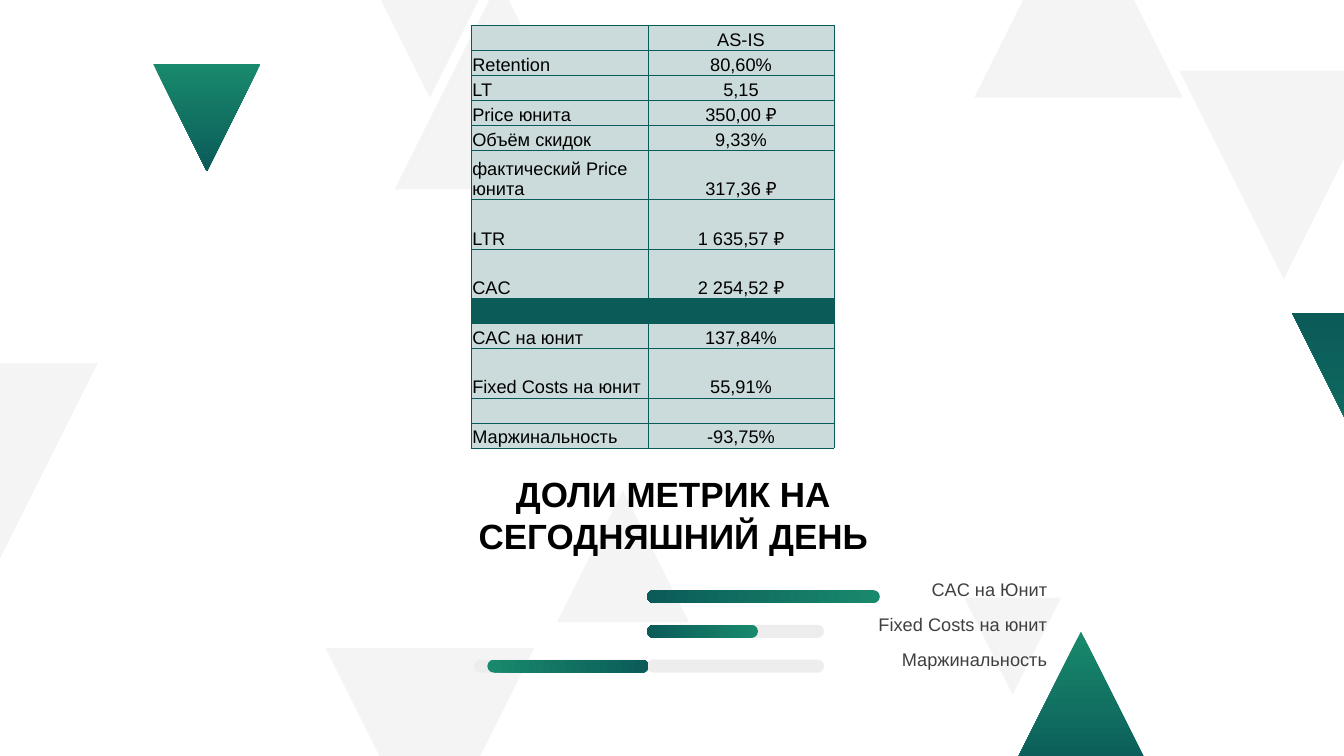
from pptx import Presentation
from pptx.dml.color import RGBColor
from pptx.enum.shapes import MSO_SHAPE
from pptx.enum.text import MSO_ANCHOR, MSO_AUTO_SIZE, PP_ALIGN
from pptx.oxml import parse_xml
from pptx.oxml.ns import nsdecls
from pptx.util import Cm, Pt

COLORS = {
    "backdrop": "F4F4F4",
    "light green": "19896C",
    "dark green": "0B5B59",
    "track": "EDEDED",
    "cell": "CBDADA",
    "border": "095B59",
    "title": "000000",
    "label": "3F3F3F",
}

# Gradient angles: the direction in which light green turns dark
DOWNWARD, UPWARD, LEFTWARD, RIGHTWARD = 270, 90, 180, 0

TITLE_FONT = {"name": "Arial", "size": Pt(50), "bold": True}
BODY_FONT = {"name": "Arial", "size": Pt(26), "bold": False}
TEXT_FRAME = {
    "word_wrap": True,
    "auto_size": MSO_AUTO_SIZE.SHAPE_TO_FIT_TEXT,
    "vertical_anchor": MSO_ANCHOR.MIDDLE,
    "margin_left": Cm(0.16), "margin_right": Cm(0.16),
    "margin_top": Cm(0.16), "margin_bottom": Cm(0.16),
}
CELL = {
    "vertical_anchor": MSO_ANCHOR.BOTTOM,
    "margin_left": Cm(0.03), "margin_right": Cm(0.03),
    "margin_top": Cm(0.03), "margin_bottom": 0,
}

# Left, top, size, points up, gradient angle (None is plain)
TRIANGLES = [
    (19.89, -0.97, 10.51, True, None),
    (59.44, 3.56, 10.51, False, None),
    (49.1, -5.59, 10.51, True, None),
    (7.72, 3.23, 5.41, False, DOWNWARD),
    (16.41, -5.59, 10.51, False, None),
    (16.41, 32.66, 10.51, False, None),
    (-5.59, 18.31, 10.51, False, None),
    (50.98, 31.83, 6.99, True, DOWNWARD),
    (48.59, 30.12, 4.88, False, None),
    (65.13, 15.8, 15.57, False, UPWARD),
    (28.07, 24.71, 6.65, True, None),
]

SHORT_ROW, TALL_ROW = 1.26, 2.49
METRICS = [
    ("", "AS-IS", SHORT_ROW),
    ("Retention", "80,60%", SHORT_ROW),
    ("LT", "5,15", SHORT_ROW),
    ("Price юнита", "350,00 ₽", SHORT_ROW),
    ("Объём скидок", "9,33%", SHORT_ROW),
    ("фактический Price юнита", "317,36 ₽", TALL_ROW),
    ("LTR", "1 635,57 ₽", TALL_ROW),
    ("CAC", "2 254,52 ₽", TALL_ROW),
    None,  # dark divider
    ("CAC на юнит", "137,84%", SHORT_ROW),
    ("Fixed Costs на юнит", "55,91%", TALL_ROW),
    ("", "", SHORT_ROW),
    ("Маржинальность", "-93,75%", SHORT_ROW),
]

SHARES = ["CAC на Юнит", "Fixed Costs на юнит", "Маржинальность"]
BAR_TOP, BAR_STEP, BAR_HEIGHT = 29.74, 1.75, 0.66
AXIS, TRACK_WIDTH = 32.61, 8.92
# Row, left, width, gradient angle (None is a track)
BARS = [
    (0, AXIS, TRACK_WIDTH, None),
    (0, AXIS, 11.73, LEFTWARD),
    (1, AXIS, TRACK_WIDTH, None),
    (1, AXIS, 5.59, LEFTWARD),
    (2, AXIS, TRACK_WIDTH, None),
    (2, 23.88, TRACK_WIDTH, None),
    (2, 24.56, 8.13, RIGHTWARD),
]


def rgb(color):
    return RGBColor.from_string(COLORS[color])


def apply_format(target, values):
    for attribute, value in values.items():
        setattr(target, attribute, value)


def paint(shape, plain_color, angle):
    shape.shadow.inherit = False
    shape.line.fill.background()
    if angle is None:
        shape.fill.solid()
        shape.fill.fore_color.rgb = rgb(plain_color)
        return
    shape.fill.gradient()
    shape.fill.gradient_angle = angle
    for stop, color in zip(shape.fill.gradient_stops, ("light green", "dark green")):
        stop.color.rgb = rgb(color)


def write(paragraph, text, font, color, alignment):
    paragraph.alignment = alignment
    run = paragraph.add_run()
    run.text = text
    apply_format(run.font, font)
    run.font.color.rgb = rgb(color)


def add_triangle(slide, left, top, size, points_up, angle):
    tip, base = (top, top + size) if points_up else (top + size, top)
    outline = slide.shapes.build_freeform(Cm(left + size / 2), Cm(tip))
    outline.add_line_segments(
        [(Cm(left + size), Cm(base)), (Cm(left), Cm(base))], close=True)
    paint(outline.convert_to_shape(), "backdrop", angle)


def add_bar(slide, row, left, width, angle):
    bar = slide.shapes.add_shape(
        MSO_SHAPE.ROUNDED_RECTANGLE, Cm(left), Cm(BAR_TOP + row * BAR_STEP),
        Cm(width), Cm(BAR_HEIGHT))
    bar.adjustments[0] = 0.5
    paint(bar, "track", angle)


def add_text(slide, box, lines, font, color, alignment, gap=0):
    frame = slide.shapes.add_textbox(*map(Cm, box)).text_frame
    apply_format(frame, TEXT_FRAME)
    for index, line in enumerate(lines):
        paragraph = frame.add_paragraph() if index else frame.paragraphs[0]
        if index and gap:
            paragraph.space_before = Pt(gap)
        write(paragraph, line, font, color, alignment)


def style_cell(cell, color):
    apply_format(cell, CELL)
    properties = cell._tc.get_or_add_tcPr()
    for side in ("lnL", "lnR", "lnT", "lnB"):
        properties.append(parse_xml(
            f'<a:{side} {nsdecls("a")} w="{Pt(0.75)}"><a:solidFill>'
            f'<a:srgbClr val="{COLORS["border"]}"/></a:solidFill></a:{side}>'))
    cell.fill.solid()
    cell.fill.fore_color.rgb = rgb(color)


def add_metrics(slide):
    widths = (8.89, 9.37)
    height = sum(metric[2] if metric else SHORT_ROW for metric in METRICS)
    table = slide.shapes.add_table(
        len(METRICS), len(widths), Cm(23.77), Cm(1.27),
        Cm(sum(widths)), Cm(height)).table
    apply_format(table, {"first_row": False, "horz_banding": False})
    for column, width in zip(table.columns, widths):
        column.width = Cm(width)
    for row, metric in zip(table.rows, METRICS):
        name, value, row_height = metric or ("", "", SHORT_ROW)
        row.height = Cm(row_height)
        entries = ((name, PP_ALIGN.LEFT), (value, PP_ALIGN.CENTER))
        for cell, (text, alignment) in zip(row.cells, entries):
            style_cell(cell, "cell" if metric else "dark green")
            if text:
                write(cell.text_frame.paragraphs[0], text, BODY_FONT, "title", alignment)


def main():
    deck = Presentation()
    apply_format(deck, {"slide_width": Cm(67.73), "slide_height": Cm(38.1)})
    slide = deck.slides.add_slide(deck.slide_layouts[6])

    # Background triangles
    for triangle in TRIANGLES:
        add_triangle(slide, *triangle)

    # Title and labels of the shares
    add_text(slide, (23.52, 23.67, 20.83, 4.57), ["ДОЛИ МЕТРИК НА СЕГОДНЯШНИЙ ДЕНЬ"],
             TITLE_FONT, "title", PP_ALIGN.CENTER)
    add_text(slide, (44.02, 28.96, 8.92, 4.98), SHARES,
             BODY_FONT, "label", PP_ALIGN.RIGHT, gap=19)

    # Table of metrics
    add_metrics(slide)

    # Share bars on both sides of the axis
    for bar in BARS:
        add_bar(slide, *bar)

    deck.save("out.pptx")


if __name__ == "__main__":
    main()
